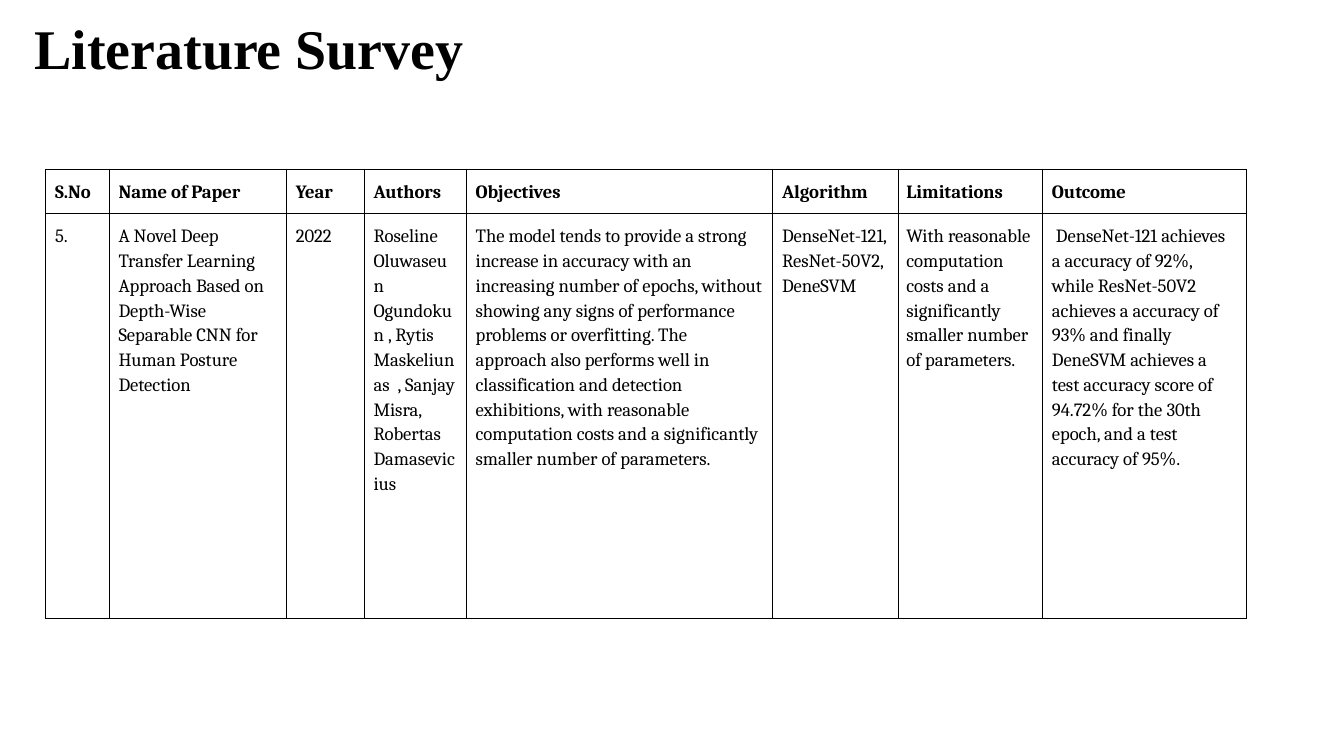
from pptx import Presentation
from pptx.dml.color import RGBColor
from pptx.oxml import parse_xml
from pptx.oxml.ns import nsdecls
from pptx.util import Cm, Pt

BLACK = "000000"
BORDER_WIDTH = Pt(0.6)
PADDING = Cm(0.18)

# heading, column width in cm, entry
COLUMNS = [
    ("S.No", 1.2, "5."),
    ("Name of Paper", 3.35,
     "A Novel Deep Transfer Learning Approach Based on Depth-Wise "
     "Separable CNN for Human Posture Detection"),
    ("Year", 1.47, "2022"),
    ("Authors", 1.93,
     "Roseline Oluwaseun Ogundokun , Rytis Maskeliunas  , Sanjay Misra, "
     "Robertas Damasevicius"),
    ("Objectives", 5.79,
     "The model tends to provide a strong increase in accuracy with an "
     "increasing number of epochs, without showing any signs of performance "
     "problems or overfitting. The  approach also performs well in "
     "classification and detection exhibitions, with reasonable computation "
     "costs and a significantly smaller number of parameters."),
    ("Algorithm", 2.38, "DenseNet-121, ResNet-50V2, DeneSVM"),
    ("Limitations", 2.72,
     "With reasonable computation costs and a significantly smaller number "
     "of parameters."),
    ("Outcome", 3.86,
     " DenseNet-121 achieves a accuracy of 92%, while ResNet-50V2 achieves a "
     "accuracy of 93% and finally DeneSVM achieves a test accuracy score of "
     "94.72% for the 30th epoch, and a test accuracy of 95%."),
]
ROW_HEIGHTS = [0.71, 7.67]


def rgb(color):
    return RGBColor.from_string(color)


def set_font(paragraph, name, size, bold):
    font = paragraph.font
    font.name, font.size, font.bold = name, Pt(size), bold
    font.color.rgb = rgb(BLACK)


def add_borders(cell):
    properties = cell._tc.get_or_add_tcPr()
    for side in ("lnL", "lnR", "lnT", "lnB"):
        properties.append(parse_xml(
            f'<a:{side} {nsdecls("a")} w="{BORDER_WIDTH}"><a:solidFill>'
            f'<a:srgbClr val="{BLACK}"/></a:solidFill></a:{side}>'))


def fill_cell(cell, text, bold, left_padding):
    add_borders(cell)
    cell.fill.background()
    cell.margin_left = left_padding
    cell.margin_right = cell.margin_top = cell.margin_bottom = PADDING
    cell.text = text
    paragraph = cell.text_frame.paragraphs[0]
    paragraph.line_spacing = 1.15
    paragraph.space_before = Pt(12)
    paragraph.space_after = Pt(0 if text.startswith("Roseline") else 12)
    set_font(paragraph, "Cambria", 10, bold)


def add_survey_table(slide):
    widths = [Cm(width) for _, width, _ in COLUMNS]
    heights = [Cm(height) for height in ROW_HEIGHTS]
    survey = slide.shapes.add_table(
        len(heights), len(widths), Cm(0.86), Cm(3.2),
        sum(widths), sum(heights)).table
    survey.horz_banding = False
    survey.first_row = False
    for row, height in zip(survey.rows, heights):
        row.height = height
    for index, (heading, _, entry) in enumerate(COLUMNS):
        survey.columns[index].width = widths[index]
        left_padding = Cm(0.15) if heading == "Limitations" else PADDING
        fill_cell(survey.cell(0, index), heading, True, left_padding)
        fill_cell(survey.cell(1, index), entry, False, left_padding)


def add_title(slide, text):
    title = slide.shapes.add_textbox(Cm(0.4), Cm(0), Cm(24.56), Cm(1.8))
    frame = title.text_frame
    frame.word_wrap = True
    frame.margin_left = frame.margin_right = Cm(0.25)
    frame.margin_top = frame.margin_bottom = Cm(0.25)
    frame.text = text
    set_font(frame.paragraphs[0], "Times New Roman", 30, True)


def main():
    presentation = Presentation()
    presentation.slide_width = Cm(25.4)
    presentation.slide_height = Cm(14.29)
    slide = presentation.slides.add_slide(presentation.slide_layouts[6])

    # Survey entry, then the heading above it
    add_survey_table(slide)
    add_title(slide, "Literature Survey")

    presentation.save("out.pptx")


if __name__ == "__main__":
    main()
